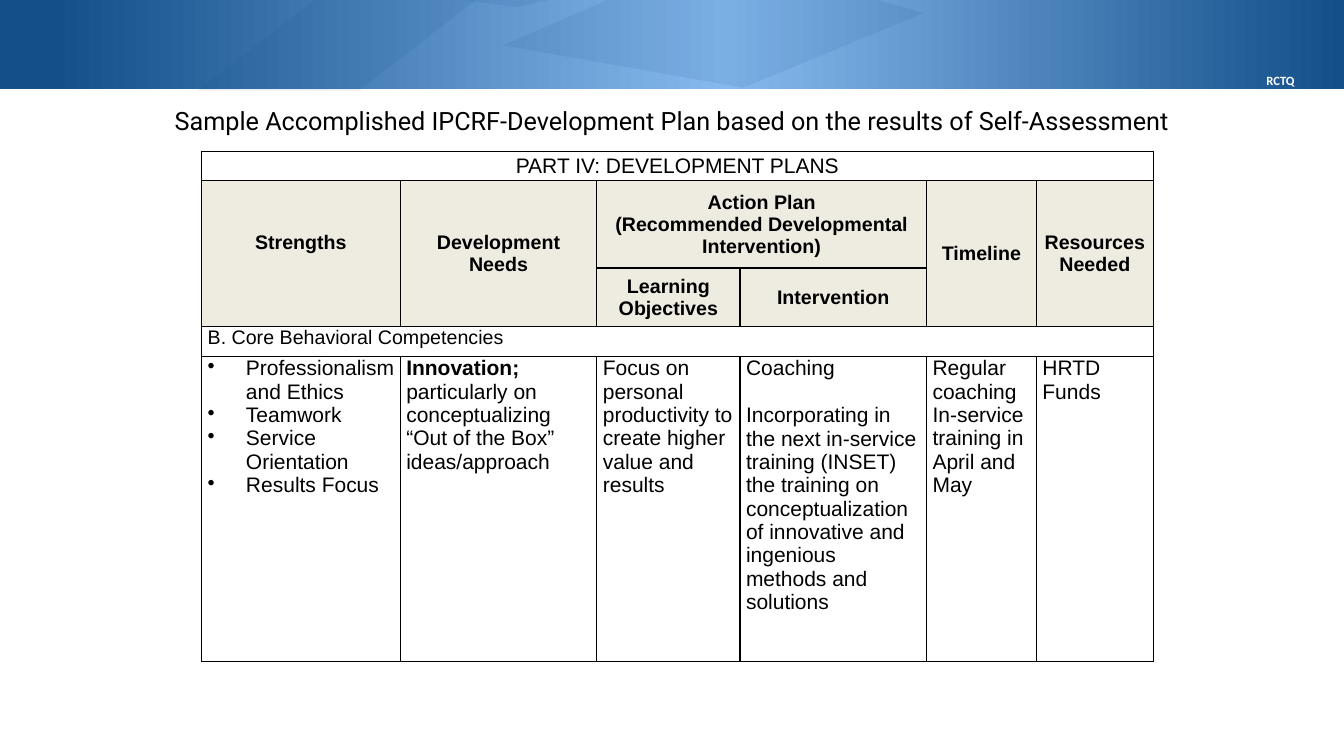
"""Build a slide with a sample development plan table."""
from copy import deepcopy

from pptx import Presentation
from pptx.dml.color import RGBColor
from pptx.enum.shapes import MSO_SHAPE
from pptx.enum.text import MSO_ANCHOR, PP_ALIGN
from pptx.oxml import parse_xml
from pptx.oxml.ns import nsdecls, qn
from pptx.util import Inches, Pt

RECT = MSO_SHAPE.RECTANGLE
SLANT = MSO_SHAPE.PARALLELOGRAM
CENTER, LEFT = PP_ALIGN.CENTER, PP_ALIGN.LEFT
MIDDLE, TOP = MSO_ANCHOR.MIDDLE, MSO_ANCHOR.TOP

COLORS = {"navy": "144F8A", "sky": "86BAEE", "sand": "EEECE1",
          "black": "000000", "white": "FFFFFF"}
BAND = [(0.04, "navy"), (0.54, "sky"), (1, "navy")]
FACETS = [
    [(4.99, 0.45), (7.08, -0.46), (9.16, 0.13), (7.37, 0.87)],
    [(2.58, -0.26), (4.57, -1.12), (5.85, -0.09), (5.13, 0.07)],
]
COLS = [1.97, 1.95, 1.42, 1.85, 1.09, 1.16]
ROWS = [0.29, 0.87, 0.58, 0.3, 3.02]
MERGES = [(0, 0, 0, 5), (1, 0, 2, 0), (1, 1, 2, 1), (1, 2, 1, 3),
          (1, 4, 2, 4), (1, 5, 2, 5), (3, 0, 3, 5)]
HEADS = [
    (1, 0, "Strengths"),
    (1, 1, "Development Needs"),
    (1, 2, "Action Plan\v(Recommended Developmental Intervention)"),
    (1, 4, "Timeline"),
    (1, 5, "Resources Needed"),
    (2, 2, "Learning Objectives"),
    (2, 3, "Intervention"),
]
PLAN = [
    ["Professionalism and Ethics", "Teamwork", "Service Orientation",
     "Results Focus"],
    ["Innovation; "],
    ["Focus on personal productivity to create higher value and results"],
    ["Coaching",
     "Incorporating in the next in-service training (INSET) the training on "
     "conceptualization of innovative and ingenious methods and solutions"],
    ["Regular coaching", "In-service training in April and May"],
    ["HRTD Funds"],
]
NEED = "particularly on conceptualizing “Out of the Box” ideas/approach"


class Deck:
    """Hold the style and the current slide."""

    def __init__(self):
        self.prs = Presentation()
        self.prs.slide_width = Inches(13.33)
        self.prs.slide_height = Inches(7.5)
        self.slide = self.prs.slides.add_slide(self.prs.slide_layouts[6])
        self.shapes = self.slide.shapes

    def color(self, name):
        return RGBColor.from_string(COLORS[name])

    def shape(self, kind, *box):
        item = self.shapes.add_shape(kind, *map(Inches, box))
        item.shadow.inherit = False
        item.line.fill.background()
        return item

    def band(self, *box):
        item = self.shape(RECT, *box)
        item.fill.gradient()
        item.fill.gradient_angle = 0
        stops = item.element.spPr.find(qn("a:gradFill")).find(qn("a:gsLst"))
        stops.append(deepcopy(stops[0]))
        for stop, (place, name) in zip(item.fill.gradient_stops, BAND):
            stop.position = place
            stop.color.rgb = self.color(name)

    def tint(self, item):
        item.fill.solid()
        item.fill.fore_color.rgb = self.color("navy")
        fill = item.element.spPr.find(qn("a:solidFill"))
        fill[0].append(parse_xml(f'<a:alpha {nsdecls("a")} val="10000"/>'))

    def slant(self, adjust, *box):
        item = self.shape(SLANT, *box)
        item.adjustments[0] = adjust
        self.tint(item)

    def facet(self, points):
        first, *rest = [(Inches(x), Inches(y)) for x, y in points]
        path = self.shapes.build_freeform(*first)
        path.add_line_segments(rest, close=True)
        item = path.convert_to_shape()
        item.shadow.inherit = False
        item.line.fill.background()
        self.tint(item)

    def font(self, font, size, face="Arial", color="black", bold=False):
        font.size, font.name, font.bold = Pt(size), face, bold
        font.color.rgb = self.color(color)

    def text(self, words, box, **style):
        frame = self.shapes.add_textbox(*map(Inches, box)).text_frame
        frame.word_wrap = True
        frame.text = words
        para = frame.paragraphs[0]
        para.alignment = CENTER
        self.font(para.runs[0].font, **style)

    def frame(self, cell):
        props = cell._tc.get_or_add_tcPr()
        for side in "LRTB":
            props.append(parse_xml(
                f'<a:ln{side} {nsdecls("a")} w="12700"><a:solidFill>'
                f'<a:srgbClr val="{COLORS["black"]}"/></a:solidFill>'
                f'</a:ln{side}>'))
        cell.fill.background()
        cell.margin_left = cell.margin_right = Inches(0.06)
        cell.margin_top = cell.margin_bottom = 0

    def table(self, left, top):
        box = map(Inches, (left, top, sum(COLS), sum(ROWS)))
        grid = self.shapes.add_table(len(ROWS), len(COLS), *box).table
        grid.first_row = grid.horz_banding = False
        for col, width in zip(grid.columns, COLS):
            col.width = Inches(width)
        for row, height in zip(grid.rows, ROWS):
            row.height = Inches(height)
        for cell in grid.iter_cells():
            self.frame(cell)
        for top, left, low, right in MERGES:
            grid.cell(top, left).merge(grid.cell(low, right))
        return grid

    def cell(self, cell, lines, size, bold=False, align=LEFT, anchor=TOP):
        cell.text = "\n".join(lines)
        cell.vertical_anchor = anchor
        for para in cell.text_frame.paragraphs:
            para.alignment = align
            for run in para.runs:
                self.font(run.font, size, bold=bold)

    def head(self, cell, words):
        self.cell(cell, [words], 14, True, CENTER, MIDDLE)
        cell.fill.solid()
        cell.fill.fore_color.rgb = self.color("sand")

    def bullets(self, cell):
        for para in cell.text_frame.paragraphs:
            props = para._p.get_or_add_pPr()
            props.set("marL", str(Inches(0.38)))
            props.set("indent", str(-Inches(0.38)))
            props.append(parse_xml(f'<a:buChar {nsdecls("a")} char="•"/>'))


def main():
    deck = Deck()
    deck.band(0, -0.03, 13.33, 0.91)
    deck.slant(1.29, 1.96, -1.28, 4.41, 2.18)
    for points in FACETS:
        deck.facet(points)
    deck.text("RCTQ", (12.05, 0.67, 1.3, 0.59), size=9, face="Calibri",
              color="white", bold=True)
    grid = deck.table(2, 1.5)
    deck.cell(grid.cell(0, 0), ["PART IV: DEVELOPMENT PLANS"], 15,
              align=CENTER, anchor=MIDDLE)
    for row, col, words in HEADS:
        deck.head(grid.cell(row, col), words)
    grid.cell(1, 0).margin_bottom = Inches(0.22)
    deck.cell(grid.cell(3, 0), ["B. Core Behavioral Competencies"], 14)
    plan = [grid.cell(4, col) for col in range(len(COLS))]
    for cell, lines in zip(plan, PLAN):
        deck.cell(cell, lines, 15)
    deck.bullets(plan[0])
    need = plan[1].text_frame.paragraphs[0]
    need.runs[0].font.bold = True
    more = need.add_run()
    more.text = NEED
    deck.font(more.font, 15)
    plan[3].text_frame.paragraphs[1].space_before = Pt(17)
    deck.text("Sample Accomplished IPCRF-Development Plan based on the "
              "results of Self-Assessment", (0.79, 1, 11.75, 0.4),
              size=18, face="Roboto")
    deck.prs.save("out.pptx")


if __name__ == "__main__":
    main()
